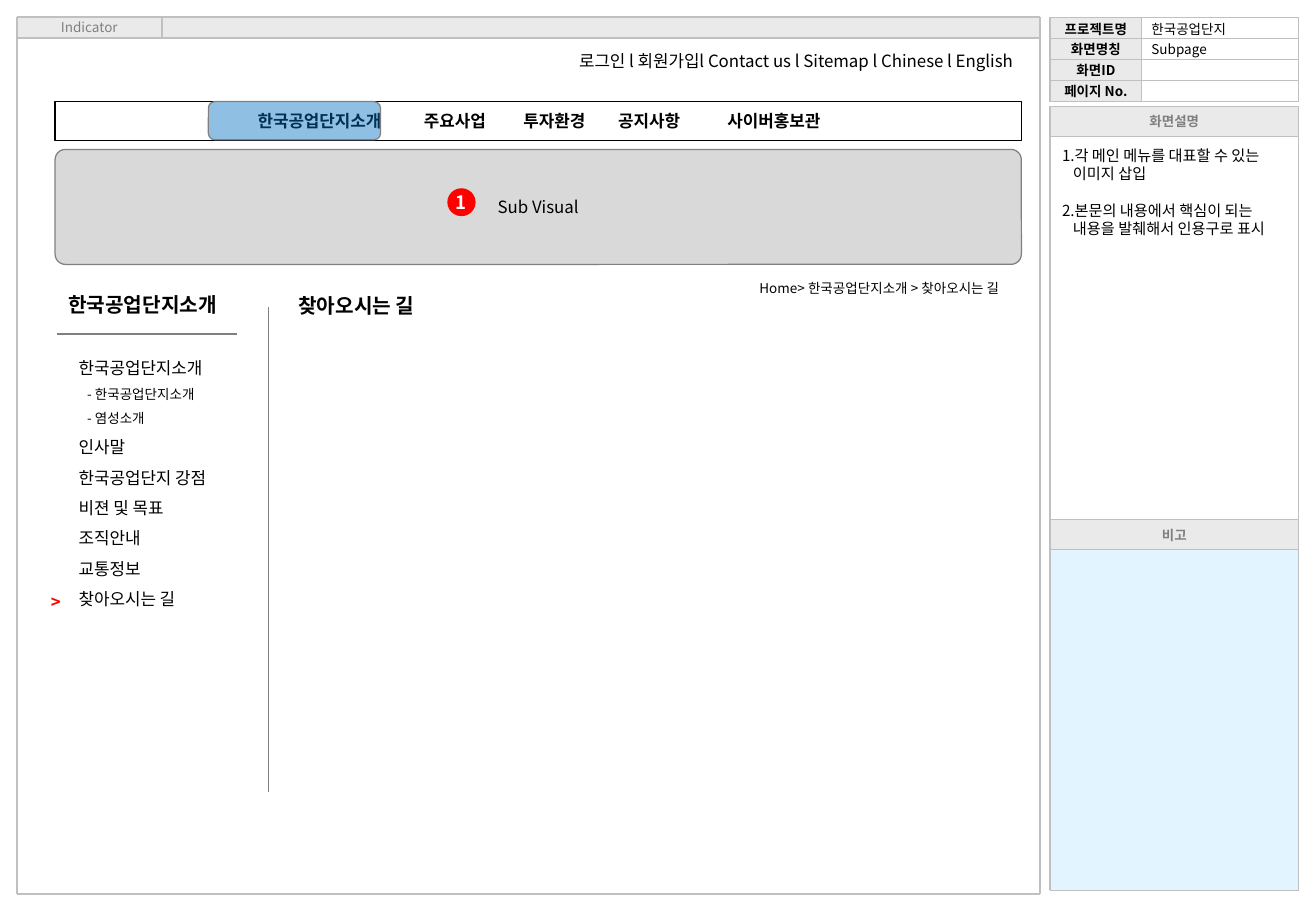
from dataclasses import dataclass

from lxml.etree import SubElement
from pptx import Presentation
from pptx.dml.color import RGBColor
from pptx.enum.shapes import MSO_CONNECTOR, MSO_SHAPE as SHAPE
from pptx.enum.text import MSO_ANCHOR as ANCHOR, MSO_AUTO_SIZE as FIT, PP_ALIGN as ALIGN
from pptx.oxml.ns import qn
from pptx.util import Inches, Pt


@dataclass(frozen=True)
class Theme:
    font: str = "Noto Sans CJK KR"
    ink: str = "000000"
    paper: str = "FFFFFF"
    header: str = "EAEAEA"
    border: str = "C0C0C0"
    muted: str = "808080"
    visual: str = "D9D9D9"
    note: str = "E1F4FF"
    highlight: str = "0070C0"
    alert: str = "FF0000"
    small: int = 8
    note_size: int = 9
    body: int = 10
    badge: int = 11
    title: int = 12
    hairline: float = 0.75
    rule: float = 1


class Wireframe:
    """Draws on one slide, measured in grid squares of a tenth of an inch."""

    def __init__(self, prs, theme):
        self.theme = theme
        self.slide = prs.slides.add_slide(prs.slide_layouts[6])

    def grid(self, *squares):
        return [Inches(n / 10) for n in squares]

    def style(self, p, size, color=None, bold=False, align=ALIGN.LEFT):
        p.alignment = align
        for r in p.runs:
            r.font.size, r.font.bold = Pt(size), bold
            r.font.name = self.theme.font
            r.font.color.rgb = RGBColor.from_string(color or self.theme.ink)
            SubElement(r.font._element, qn("a:ea"), typeface=self.theme.font)

    def box(self, at, fill, line=None, kind=SHAPE.RECTANGLE, radius=None, alpha=None):
        sp = self.slide.shapes.add_shape(kind, *self.grid(*at))
        sp.shadow.inherit = False
        sp.fill.solid()
        sp.fill.fore_color.rgb = RGBColor.from_string(fill)
        if alpha:
            color = sp.fill._xPr.find(qn("a:solidFill"))[0]
            SubElement(color, qn("a:alpha"), val=str(alpha * 1000))
        if radius:
            sp.adjustments[0] = radius
        if line:
            sp.line.color.rgb = RGBColor.from_string(line)
            sp.line.width = Pt(self.theme.hairline)
        else:
            sp.line.fill.background()
        return sp

    def label(self, sp, text, size, color=None, bold=False, align=ALIGN.CENTER):
        tf = sp.text_frame
        tf.text = text
        tf.word_wrap = False
        tf.vertical_anchor = ANCHOR.MIDDLE
        self.style(tf.paragraphs[0], size, color, bold, align)
        return tf.paragraphs[0]

    def text(self, at, lines, size, color=None, bold=False, align=ALIGN.LEFT, wrap=False):
        tf = self.slide.shapes.add_textbox(*self.grid(*at)).text_frame
        tf.text = "\n".join(lines)
        tf.word_wrap = wrap
        tf.auto_size = FIT.SHAPE_TO_FIT_TEXT
        for p in tf.paragraphs:
            self.style(p, size, color, bold, align)
        return tf.paragraphs

    def line(self, x1, y1, x2, y2, color, width):
        cn = self.slide.shapes.add_connector(MSO_CONNECTOR.STRAIGHT, *self.grid(x1, y1, x2, y2))
        cn.line.color.rgb = RGBColor.from_string(color)
        cn.line.width = Pt(width)
        SubElement(cn._element.spPr, qn("a:effectLst"))

    def lattice(self, xs, ys):
        """Border lines at every x and y, each spanning the whole area."""
        ends = [(x, ys[0], x, ys[-1]) for x in xs] + [(xs[0], y, xs[-1], y) for y in ys]
        for end in ends:
            self.line(*end, self.theme.border, self.theme.rule)

    def indent(self, p, left, hanging=0):
        props = p._p.get_or_add_pPr()
        props.set("marL", str(Inches(left)))
        props.set("indent", str(-Inches(hanging)))
        return props

    def number(self, p, start):
        props = self.indent(p, 0.09, 0.09)
        SubElement(props, qn("a:buAutoNum"), type="arabicPeriod", startAt=str(start))

    def tabs(self, p, stops):
        tab_list = SubElement(p._p.get_or_add_pPr(), qn("a:tabLst"))
        for stop in stops:
            SubElement(tab_list, qn("a:tab"), pos=str(Inches(stop)), algn="l")

    def cell_borders(self, cell):
        props = cell._tc.get_or_add_tcPr()
        for i, side in enumerate(("lnL", "lnR", "lnT", "lnB")):
            ln = props.makeelement(qn(f"a:{side}"), {"w": str(Pt(self.theme.rule))})
            fill = SubElement(ln, qn("a:solidFill"))
            SubElement(fill, qn("a:srgbClr"), val=self.theme.border)
            props.insert(i, ln)

    def table(self, at, widths, rows):
        """Two-column table with bold, shaded row heads."""
        table = self.slide.shapes.add_table(len(rows), len(widths), *self.grid(*at)).table
        table.first_row = table.horz_banding = False
        for column, width in zip(table.columns, self.grid(*widths)):
            column.width = width
        for i, row in enumerate(rows):
            for j, text in enumerate(row):
                cell, head = table.cell(i, j), j == 0
                cell.text = text
                cell.margin_top = cell.margin_bottom = 0
                cell.margin_left = cell.margin_right = Inches(0.08)
                cell.vertical_anchor = ANCHOR.MIDDLE
                cell.fill.solid()
                cell.fill.fore_color.rgb = RGBColor.from_string(
                    self.theme.header if head else self.theme.paper)
                p = cell.text_frame.paragraphs[0]
                self.style(p, self.theme.small, bold=head,
                           align=ALIGN.CENTER if head else ALIGN.LEFT)
                if not text:
                    p._p.get_or_add_endParaRPr().set("sz", str(self.theme.small * 100))
                self.cell_borders(cell)


def draw_frame(w, t):
    left, tab, right, top, head, bottom = 1.4, 13.33, 85.68, 1.38, 3.12, 73.6
    indicator = w.box((left, top, tab - left, head - top), t.header)
    w.label(indicator, "Indicator", t.small, t.muted)
    w.box((tab, top, right - tab, head - top), t.header)
    w.line(tab, top, tab, head, t.border, t.rule)
    w.lattice((left, right), (top, head, bottom))


def draw_sidebar(w, t):
    left, width, head, bottom = 86.5, 20.47, 2.47, 73.3
    w.table((left, 1.45, width, 6.9), (7.55, 12.92), [
        ("프로젝트명", "한국공업단지"), ("화면명칭", "Subpage"), ("화면ID", ""), ("페이지 No.", "")])
    tops = (8.77, 42.78, bottom)
    for title, top, end, fill in zip(("화면설명", "비고"), tops, tops[1:], (t.paper, t.note)):
        w.label(w.box((left, top, width, head), t.header), title, t.small, t.muted, True)
        w.box((left, top + head, width, end - top - head), fill)
    w.lattice((left, left + width),
              (tops[0], tops[0] + head, tops[1], tops[1] + head, bottom))
    notes = w.text((left, 11.55, 20.3, 10.6), [
        "각 메인 메뉴를 대표할 수 있는 이미지 삽입",
        "본문의 내용에서 핵심이 되는 내용을 발췌해서 인용구로 표시"], t.note_size, wrap=True)
    notes[1].space_before = Pt(11)
    for start, p in enumerate(notes, 1):
        w.number(p, start)


def draw_header(w, t):
    w.text((45, 3.65, 39.4, 2.7), ["로그인 l 회원가입l Contact us l Sitemap l Chinese l English"],
           t.body, align=ALIGN.RIGHT)
    menu = ("한국공업단지소개", "주요사업", "투자환경", "공지사항", "사이버홍보관")
    bar = w.box((4.54, 8.35, 79.6, 3.2), t.paper, t.ink)
    p = w.label(bar, "".join(f"\t{item}" for item in menu), t.body, bold=True, align=ALIGN.LEFT)
    bar.text_frame.word_wrap = True
    w.tabs(p, (1.57, 2.94, 3.76, 4.54, 5.44))
    w.box((17.17, 8.37, 14.18, 3.14), t.highlight, t.muted,
          kind=SHAPE.ROUNDED_RECTANGLE, radius=0.17, alpha=44)
    visual = w.box((4.54, 12.3, 79.6, 9.47), t.visual, t.muted,
                   kind=SHAPE.ROUNDED_RECTANGLE, radius=0.09)
    w.label(visual, "Sub Visual", t.body)
    badge = w.box((36.85, 15.5, 2.33, 2.3), t.alert, kind=SHAPE.OVAL)
    w.label(badge, "1", t.badge, t.paper, True)


def draw_content(w, t):
    w.text((4.63, 23.6, 15, 3), ["한국공업단지소개"], t.title, bold=True)
    w.text((23.6, 23.65, 12, 3), ["찾아오시는 길"], t.title, bold=True)
    w.text((57.3, 22.55, 26, 2.4), ["Home> 한국공업단지소개 > 찾아오시는 길"],
           t.small, align=ALIGN.RIGHT, wrap=True)
    w.line(4.7, 27.5, 19.5, 27.5, t.muted, t.hairline)
    w.line(22.13, 25.3, 22.13, 65.2, t.muted, t.hairline)
    items = w.text((5.5, 28.13, 12.6, 25.1), [
        "한국공업단지소개", "- 한국공업단지소개", "- 염성소개", "인사말", "한국공업단지 강점",
        "비젼 및 목표", "조직안내", "교통정보", "찾아오시는 길"], t.body)
    for p in items:
        p.line_spacing = 1.5
        if p.text.startswith("-"):
            w.indent(p, 0.07)
            p.runs[0].font.size = Pt(t.small)
    w.text((3.2, 48.2, 2.7, 2.7), [">"], t.body, t.alert, True)


def main():
    prs = Presentation()
    prs.slide_width, prs.slide_height = Inches(10.84), Inches(7.5)
    theme = Theme()
    wireframe = Wireframe(prs, theme)
    for draw in (draw_frame, draw_sidebar, draw_header, draw_content):
        draw(wireframe, theme)
    prs.save("out.pptx")


if __name__ == "__main__":
    main()
